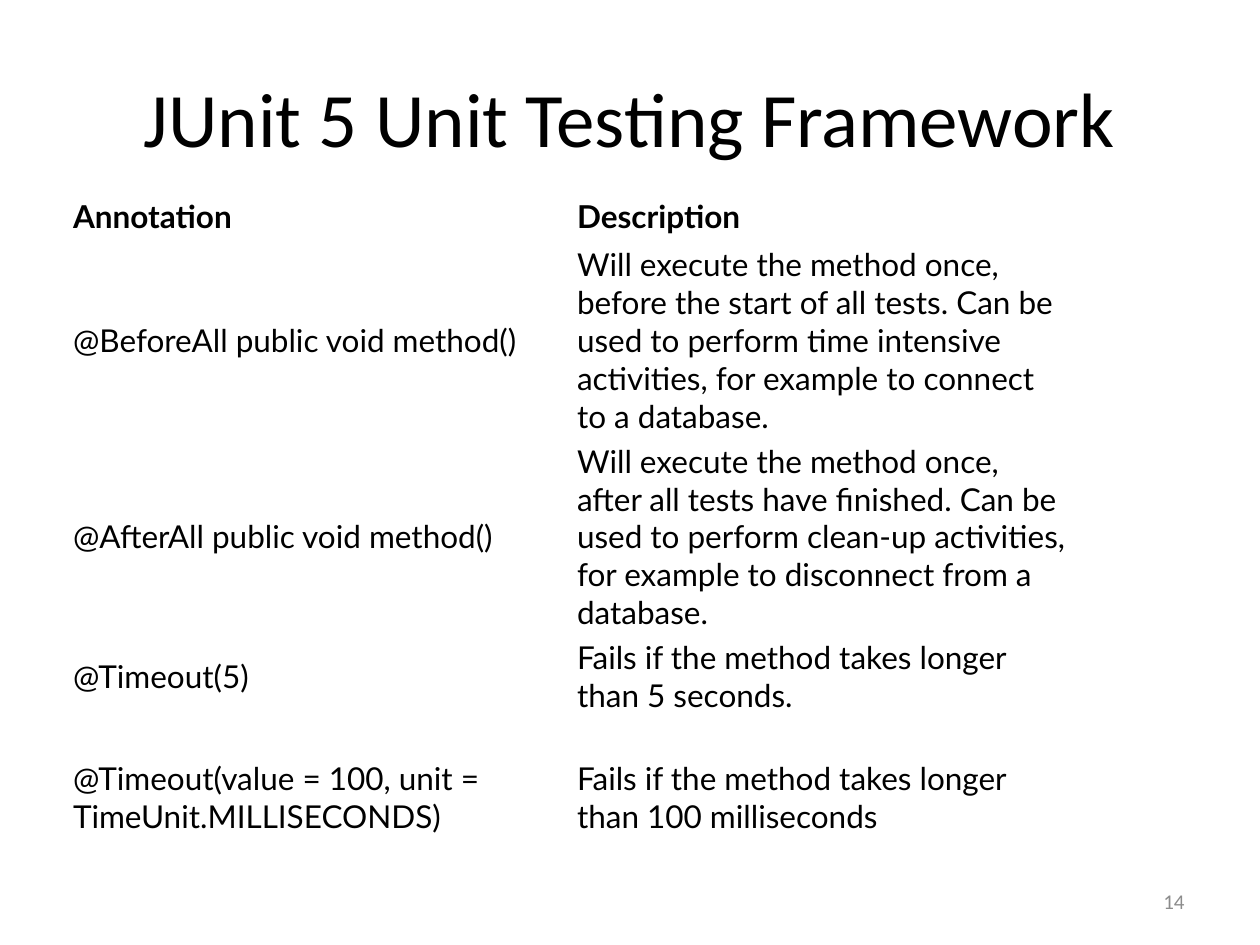
import pptx
import pptx.dml.color
import pptx.enum.text
import pptx.util

WIDTH, HEIGHT = 10, 7.5
MIDDLE = pptx.enum.text.MSO_ANCHOR.MIDDLE
ALIGN = pptx.enum.text.PP_ALIGN

TITLE = {"size": pptx.util.Pt(44), "name": "Calibri", "bold": False}
HEADER = {"size": pptx.util.Pt(18), "name": "Lato", "bold": True}
BODY = {**HEADER, "bold": False}
NUMBER = {**TITLE, "size": pptx.util.Pt(12)}

COLUMN_WIDTH = 4
ROW_HEIGHTS = [0.41, 1.55, 1.55, 0.66, 1.25]
CELL_FORMAT = {
    "vertical_anchor": MIDDLE,
    "margin_left": pptx.util.Inches(0.05),
    "margin_right": pptx.util.Inches(0.05),
    "margin_top": pptx.util.Inches(0.03),
    "margin_bottom": pptx.util.Inches(0.03),
}
ANNOTATIONS = [
    ("Annotation", "Description"),
    ("@BeforeAll public void method()",
     "Will execute the method once, before the start of all tests. Can be used "
     "to perform time intensive activities, for example to connect to a database."),
    ("@AfterAll public void method()",
     "Will execute the method once, after all tests have finished. Can be used to "
     "perform clean-up activities, for example to disconnect from a database."),
    ("@Timeout(5)", "Fails if the method takes longer than 5 seconds."),
    ("@Timeout(value = 100, unit = TimeUnit.MILLISECONDS)",
     "Fails if the method takes longer than 100 milliseconds"),
]


def color(hex_string):
    return pptx.dml.color.RGBColor.from_string(hex_string)


def apply(target, values):
    for name, value in values.items():
        setattr(target, name, value)


def write(paragraph, text, font_format, hex_string="000000"):
    run = paragraph.add_run()
    run.text = text
    apply(run.font, font_format)
    run.font.color.rgb = color(hex_string)


def add_text(slide, shares, text, font_format, alignment, hex_string="000000"):
    """Place text in a box whose left, top, width, height are shares of the slide."""
    box = [pptx.util.Inches(share * side)
           for share, side in zip(shares, (WIDTH, HEIGHT) * 2)]
    frame = slide.shapes.add_textbox(*box).text_frame
    apply(frame, {"word_wrap": True, "vertical_anchor": MIDDLE})
    paragraph = frame.paragraphs[0]
    paragraph.alignment = alignment
    write(paragraph, text, font_format, hex_string)


def add_annotation_table(slide, left, top):
    column_count = len(ANNOTATIONS[0])
    size = (column_count * COLUMN_WIDTH, sum(ROW_HEIGHTS))
    table = slide.shapes.add_table(
        len(ANNOTATIONS), column_count,
        *map(pptx.util.Inches, (left, top, *size))).table
    apply(table, {"first_row": False, "horz_banding": False})
    for row, height in zip(table.rows, ROW_HEIGHTS):
        row.height = pptx.util.Inches(height)
    for row_index, texts in enumerate(ANNOTATIONS):
        for column_index, text in enumerate(texts):
            cell = table.cell(row_index, column_index)
            apply(cell, CELL_FORMAT)
            cell.fill.solid()
            cell.fill.fore_color.rgb = color("FFFFFF")
            write(cell.text_frame.paragraphs[0], text, BODY if row_index else HEADER)


def main():
    presentation = pptx.Presentation()
    apply(presentation, {"slide_width": pptx.util.Inches(WIDTH),
                         "slide_height": pptx.util.Inches(HEIGHT)})
    slide = presentation.slides.add_slide(presentation.slide_layouts[6])
    add_text(slide, (0.05, 0.04, 0.9, 1 / 6), "JUnit 5 Unit Testing Framework",
             TITLE, ALIGN.CENTER)
    add_annotation_table(slide, 0.53, 1.51)
    add_text(slide, (0.717, 0.927, 0.233, 0.053), "14", NUMBER, ALIGN.RIGHT, "8C8C8C")
    presentation.save("out.pptx")


if __name__ == "__main__":
    main()
